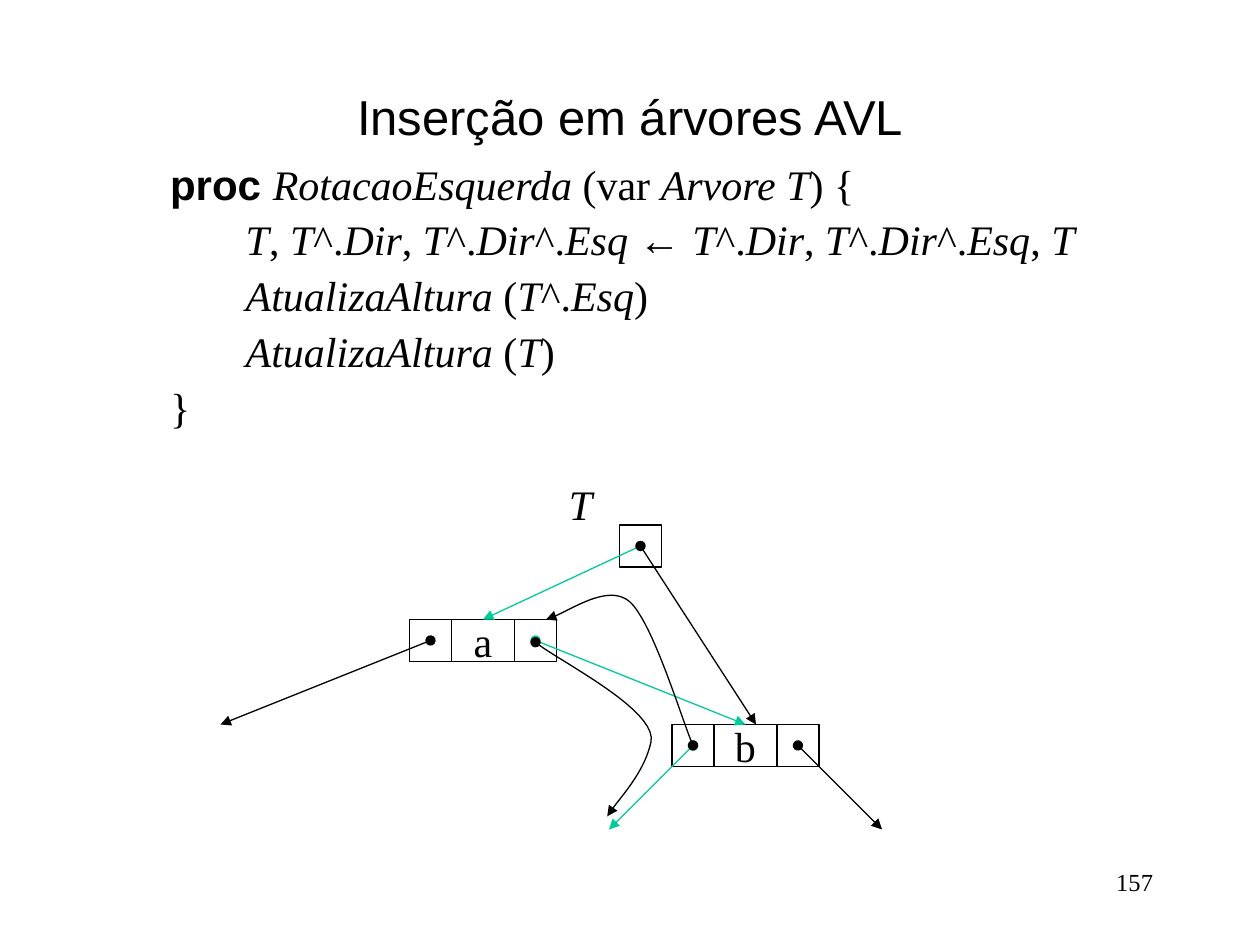
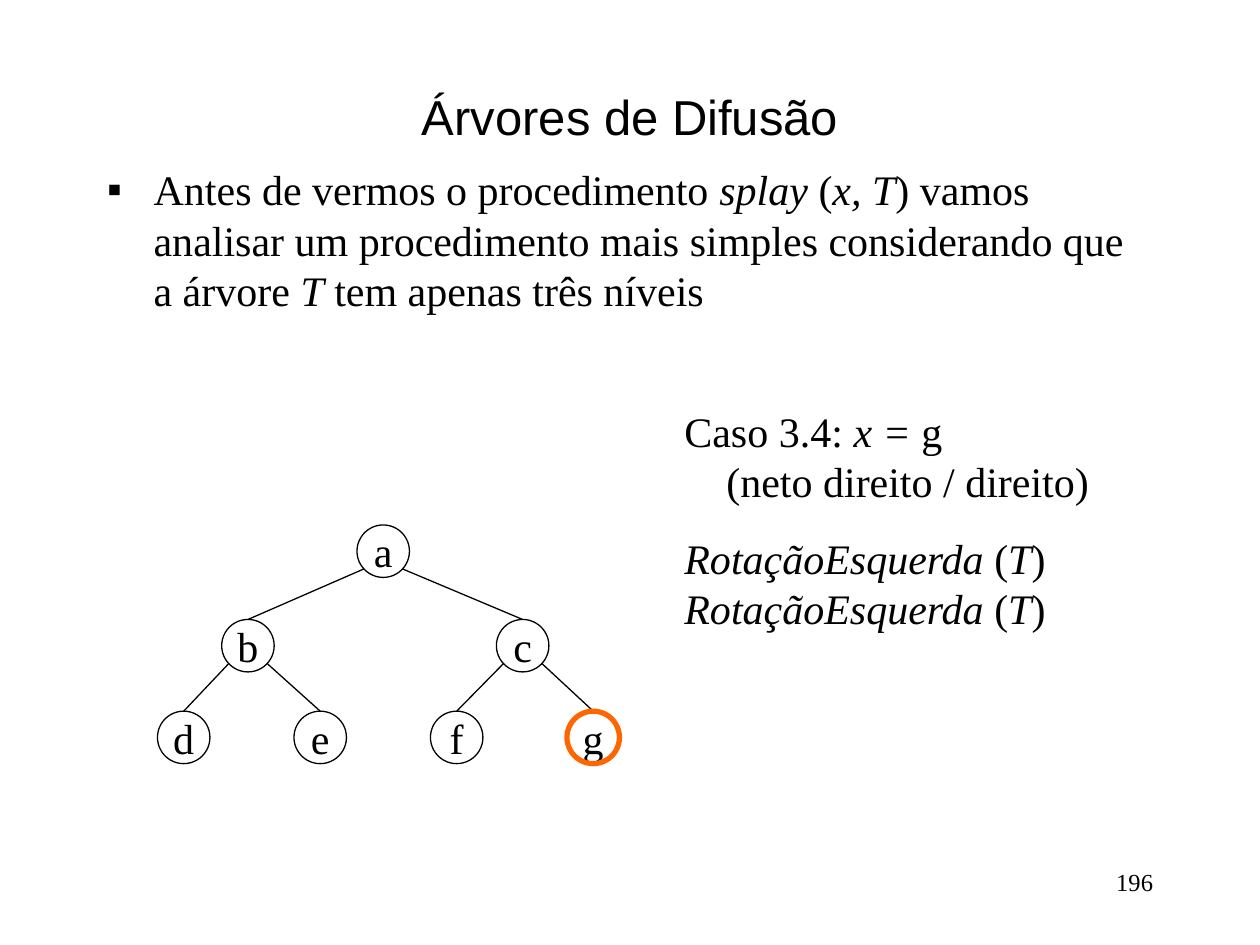
from dataclasses import dataclass

from lxml import etree
from pptx import Presentation
from pptx.dml.color import RGBColor
from pptx.enum.shapes import MSO_CONNECTOR, MSO_SHAPE
from pptx.enum.text import MSO_ANCHOR, MSO_AUTO_SIZE, PP_ALIGN
from pptx.oxml.ns import qn
from pptx.util import Pt

RECTANGLE, ELLIPSE = MSO_SHAPE.RECTANGLE, MSO_SHAPE.OVAL
STRAIGHT = MSO_CONNECTOR.STRAIGHT
TOP, MIDDLE = MSO_ANCHOR.TOP, MSO_ANCHOR.MIDDLE
LEFT, CENTER, RIGHT = PP_ALIGN.LEFT, PP_ALIGN.CENTER, PP_ALIGN.RIGHT
FIXED_SIZE = MSO_AUTO_SIZE.NONE


@dataclass(frozen=True)
class Theme:
    ink: RGBColor = RGBColor(0x00, 0x00, 0x00)
    old_link: RGBColor = RGBColor(0x00, 0xCC, 0x99)
    highlight: RGBColor = RGBColor(0xFF, 0x66, 0x00)
    heading_face: str = "Arial"
    text_face: str = "Times New Roman"
    title_size: float = 28
    text_size: float = 24
    number_size: float = 14
    thin: float = 0.75
    thick: float = 3


@dataclass(frozen=True)
class Box:
    left: float
    top: float
    width: float
    height: float

    def inner(self, x, y, width, height):
        return Box(self.left + x, self.top + y, width, height)

    def point(self, x, y):
        return Pt(self.left + x), Pt(self.top + y)

    def lengths(self):
        return [Pt(v) for v in (self.left, self.top, self.width, self.height)]


THEME = Theme()
TITLE_BOX = Box(54, 48, 612, 36)
NUMBER_BOX = Box(516, 492, 150, 36)


# Text

def format_font(font, size, face=THEME.text_face):
    font.size, font.name = Pt(size), face
    font.color.rgb = THEME.ink


def write(paragraph, marked, size=THEME.text_size, face=THEME.text_face,
          align=LEFT, before=0):
    """Fill a paragraph; asterisks switch italics on and off."""
    paragraph.alignment = align
    paragraph.space_before = Pt(before)
    format_font(paragraph.font, size, face)
    for i, piece in enumerate(marked.split("*")):
        if piece:
            run = paragraph.add_run()
            run.text = piece
            if i % 2:
                run.font.italic = True


def set_margin(paragraph, margin, bullet=None):
    """Set the left margin in points, with a hanging bullet or none."""
    properties = paragraph._p.get_or_add_pPr()
    properties.set("marL", str(Pt(margin)))
    properties.set("indent", str(Pt(-margin if bullet else 0)))
    if bullet:
        etree.SubElement(properties, qn("a:buChar")).set("char", bullet)
    else:
        etree.SubElement(properties, qn("a:buNone"))


def paragraphs_for(frame, count):
    return [frame.paragraphs[0]] + [frame.add_paragraph() for _ in range(count - 1)]


def place_placeholder(shape, box, anchor):
    shape.left, shape.top, shape.width, shape.height = box.lengths()
    frame = shape.text_frame
    frame.auto_size, frame.vertical_anchor = FIXED_SIZE, anchor
    return frame


def add_text(slide, box, wrap=True):
    frame = slide.shapes.add_textbox(*box.lengths()).text_frame
    frame.word_wrap = wrap
    return frame


def add_base_slide(prs, title, number):
    slide = prs.slides.add_slide(prs.slide_layouts[1])
    heading = place_placeholder(slide.shapes.title, TITLE_BOX, MIDDLE)
    write(heading.paragraphs[0], title, THEME.title_size, THEME.heading_face, CENTER)
    footer = add_text(slide, NUMBER_BOX)
    write(footer.paragraphs[0], str(number), THEME.number_size, align=RIGHT)
    return slide


# Drawing

def add_outline(slide, kind, box, label="", color=THEME.ink, weight=THEME.thin):
    shape = slide.shapes.add_shape(kind, *box.lengths())
    shape.shadow.inherit = False
    shape.fill.background()
    shape.line.color.rgb, shape.line.width = color, Pt(weight)
    if label:
        frame = shape.text_frame
        frame.word_wrap, frame.vertical_anchor = False, MIDDLE
        write(frame.paragraphs[0], label, align=CENTER)


def format_stroke(line, color, pointer):
    line.color.rgb, line.width = color, Pt(THEME.thin)
    if pointer:
        for end, kind in (("a:headEnd", "oval"), ("a:tailEnd", "triangle")):
            etree.SubElement(line._get_or_add_ln(), qn(end)).set("type", kind)


def add_line(slide, box, start, end, color=THEME.ink, pointer=False):
    link = slide.shapes.add_connector(STRAIGHT, *box.point(*start), *box.point(*end))
    format_stroke(link.line, color, pointer)
    etree.SubElement(link._element.spPr, qn("a:effectLst"))


def bezier(start, control1, control2, end, steps=20):
    """Points along a cubic curve, without its start."""
    for i in range(1, steps + 1):
        t = i / steps
        u = 1 - t
        yield tuple(u**3 * a + 3 * u * u * t * b + 3 * u * t * t * c + t**3 * d
                    for a, b, c, d in zip(start, control1, control2, end))


def add_curved_pointer(slide, box, knots):
    """Draw a chain of cubic curves: a start, then three knots per curve."""
    points = [box.point(*p) for i in range(0, len(knots) - 1, 3)
              for p in bezier(*knots[i:i + 4])]
    builder = slide.shapes.build_freeform(*box.point(*knots[0]))
    builder.add_line_segments(points, close=False)
    curve = builder.convert_to_shape()
    curve.shadow.inherit = False
    curve.fill.background()
    format_stroke(curve.line, THEME.ink, True)


# AVL rotation

CODE = [
    (36, "proc *RotacaoEsquerda* (var *Arvore T*) {"),
    (79.2, "*T*, *T*^.*Dir*, *T*^.*Dir*^.*Esq *← *T*^.*Dir*, *T*^.*Dir*^.*Esq*, *T*"),
    (79.2, "*AtualizaAltura* (*T*^.*Esq*)"),
    (79.2, "*AtualizaAltura* (*T*)"),
    (36, "}"),
]


def add_code(slide, box):
    frame = place_placeholder(slide.placeholders[1], box, TOP)
    for i, (paragraph, (margin, text)) in enumerate(
            zip(paragraphs_for(frame, len(CODE)), CODE)):
        set_margin(paragraph, margin)
        write(paragraph, text, before=6 if i else 0)
        paragraph.line_spacing = 0.9
        for run in paragraph.runs:
            if run.text in ("proc ", "← "):
                run.font.name = THEME.heading_face
                run.font.bold = run.text == "proc "


def add_record(slide, box, key):
    """Draw a node with a key between two link cells."""
    cell, key_width = box.height, box.width - 2 * box.height
    add_outline(slide, RECTANGLE, box.inner(cell, 0, key_width, cell), key)
    for x in (0, cell + key_width):
        add_outline(slide, RECTANGLE, box.inner(x, 0, cell, cell))


def add_rotation_diagram(slide, box):
    root, a_left, a_right = (312, 54), (192, 108), (252, 108)
    b_left, b_right = (342, 168), (402, 168)
    add_record(slide, box.inner(180, 96, 84, 24), "a")
    add_record(slide, box.inner(330, 156, 84, 24), "b")
    add_outline(slide, RECTANGLE, box.inner(300, 42, 24, 24))
    root_label = add_text(slide, box.inner(264, 12, 27, 36), wrap=False)
    write(root_label.paragraphs[0], "*T*", align=CENTER)

    for start, end, color in [
        (a_right, (372, 156), THEME.old_link),
        (b_left, (294, 216), THEME.old_link),
        (root, (222, 96), THEME.old_link),
        (a_left, (72, 156), THEME.ink),
        (b_right, (450, 216), THEME.ink),
        (root, (378, 156), THEME.ink),
    ]:
        add_line(slide, box, start, end, color, pointer=True)
    add_curved_pointer(slide, box, [
        (252, 109), (263, 118.5), (322, 147.5), (318, 166),
        (314, 185), (298, 200), (293, 208.5)])
    add_curved_pointer(slide, box, [
        b_left, (336, 154.5), (319.5, 98.5), (306, 86),
        (292.5, 74), (268, 94), (258, 96)])


def build_rotation_slide(prs):
    slide = add_base_slide(prs, "Inserção em árvores AVL", 157)
    add_code(slide, Box(54, 90, 612, 168))
    add_rotation_diagram(slide, Box(54, 258, 486, 246))


# Splay tree

NODE = 30
LEAF_TOP, LEAF_STEP = 106.4, 78
TREE = {"a": (114, 0), "b": (36.7, 54), "c": (193.7, 54)}
TREE.update({key: (i * LEAF_STEP, LEAF_TOP) for i, key in enumerate("defg")})
CHILDREN = {"a": "bc", "b": "de", "c": "fg"}
CASE = [
    (0, 0, "Caso 3.4: *x = *g"),
    (24, 0, "(neto direito / direito)"),
    (0, 15, "*RotaçãoEsquerda *(*T*)"),
    (0, 0, "*RotaçãoEsquerda *(*T*)"),
]


def add_tree(slide, box, accessed):
    for parent, children in CHILDREN.items():
        x, y = TREE[parent]
        for child, side in zip(children, (-1, 1)):
            child_x, child_y = TREE[child]
            add_line(slide, box, (x + NODE / 2 + side * 10.8, y + 25),
                     (child_x + NODE / 2, child_y))
    for key, (x, y) in TREE.items():
        add_outline(slide, ELLIPSE, box.inner(x, y, NODE, NODE), key)
    add_outline(slide, ELLIPSE, box.inner(*TREE[accessed], NODE, NODE),
                color=THEME.highlight, weight=THEME.thick)


def add_case(slide, box):
    frame = add_text(slide, box)
    for paragraph, (margin, before, text) in zip(paragraphs_for(frame, len(CASE)), CASE):
        set_margin(paragraph, margin)
        write(paragraph, text, before=before)


def add_introduction(slide, box):
    paragraph = place_placeholder(slide.placeholders[1], box, TOP).paragraphs[0]
    set_margin(paragraph, 26.6, bullet="▪")
    write(paragraph, "Antes de vermos o procedimento *splay *(*x, T*) vamos analisar um "
                     "procedimento mais simples considerando que a árvore *T* tem apenas "
                     "três níveis")


def build_splay_slide(prs):
    slide = add_base_slide(prs, "Árvores de Difusão", 196)
    add_introduction(slide, Box(54, 90, 612, 390))
    add_tree(slide, Box(90, 300, 264, 137), accessed="g")
    add_case(slide, Box(384, 228, 324, 181))


def main():
    prs = Presentation()
    prs.slide_width, prs.slide_height = Pt(720), Pt(540)
    build_rotation_slide(prs)
    build_splay_slide(prs)
    prs.save("out.pptx")


if __name__ == "__main__":
    main()
